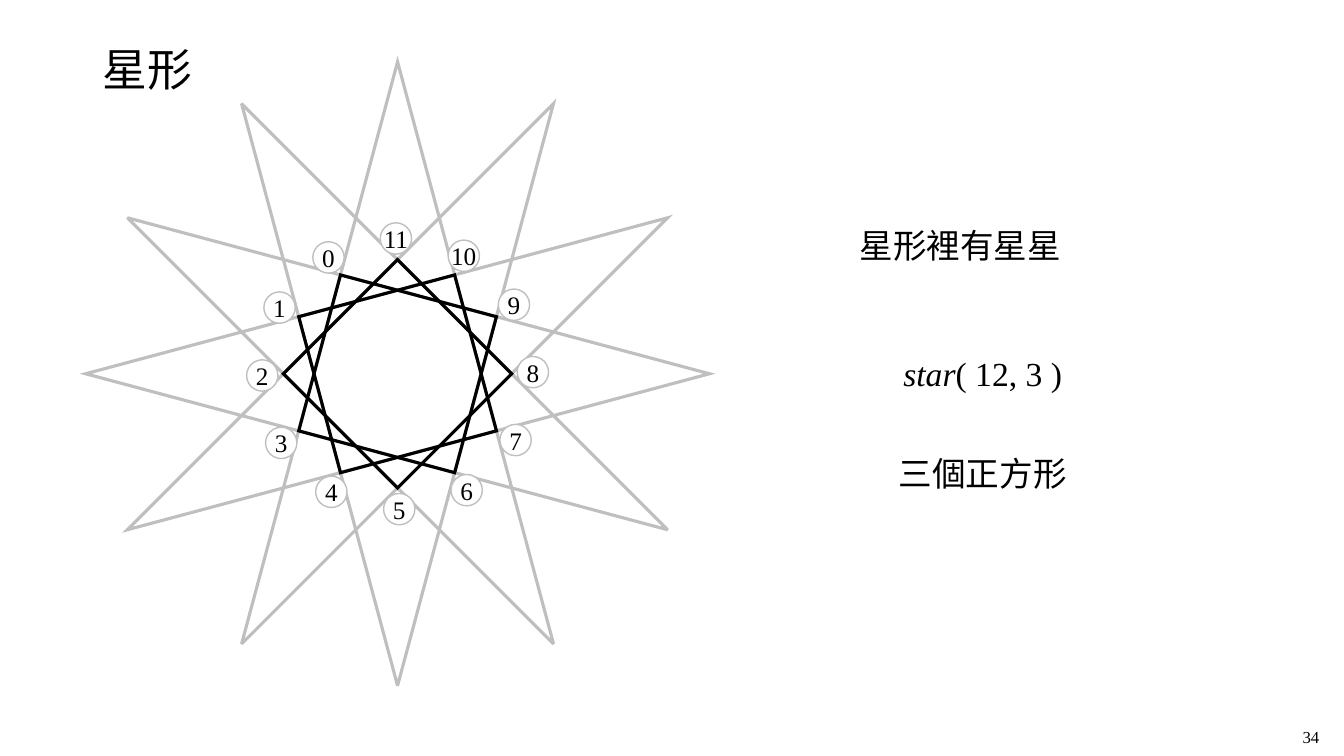
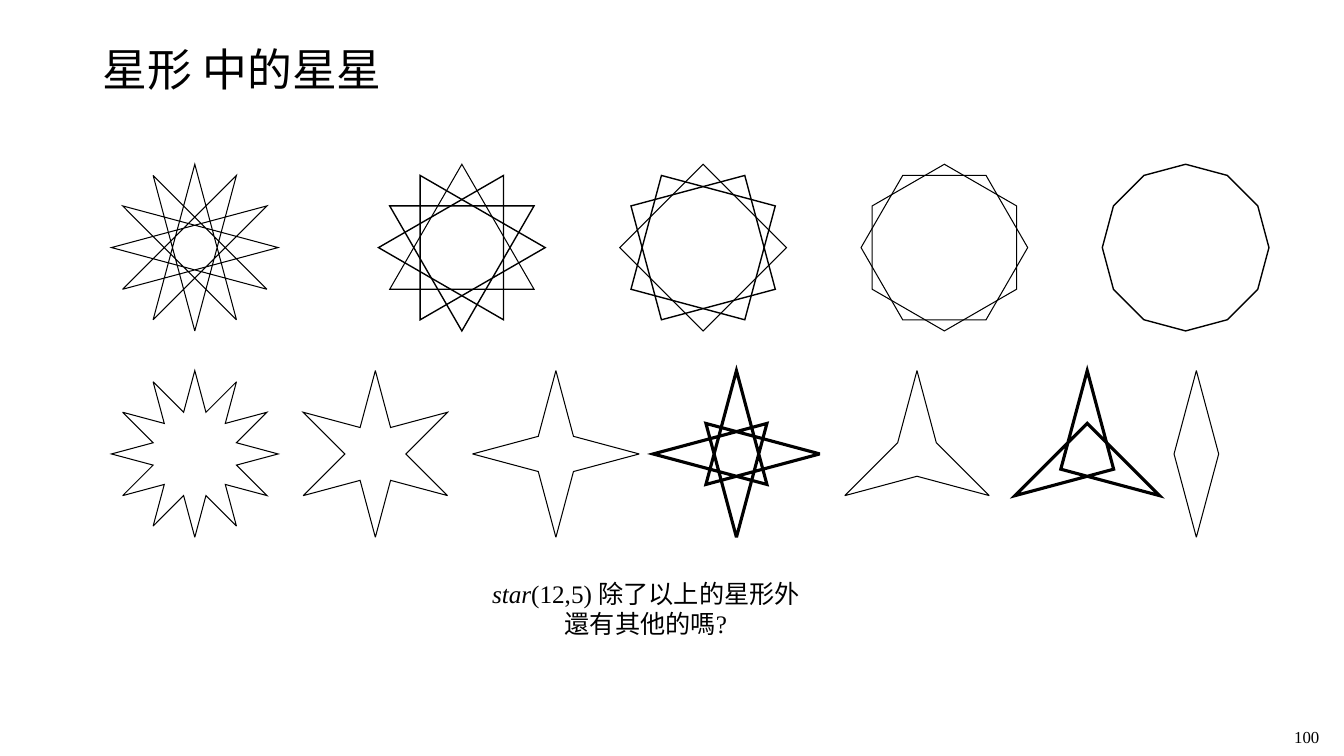
from dataclasses import dataclass
from math import cos, gcd, radians, sin
from typing import Optional

from lxml.etree import SubElement
from pptx import Presentation
from pptx.dml.color import RGBColor
from pptx.enum.shapes import MSO_SHAPE
from pptx.enum.text import MSO_ANCHOR, PP_ALIGN
from pptx.oxml.ns import qn
from pptx.slide import Slide
from pptx.util import Cm, Pt

BLACK, WHITE, GRAY = "000000", "FFFFFF", "BFBFBF"
SERIF, SANS = "Times New Roman", "Noto Sans CJK SC"
TIPS = 12
CHORD = 75
Point = tuple[float, float]


@dataclass
class Label:
    text: str
    left: float
    top: float
    width: float
    height: float
    size: float = 24
    italic: str = ""
    font: str = SERIF
    align: PP_ALIGN = PP_ALIGN.CENTER
    anchor: MSO_ANCHOR = MSO_ANCHOR.MIDDLE
    shape: Optional[MSO_SHAPE] = MSO_SHAPE.RECTANGLE
    outline: Optional[str] = None
    spacing: Optional[float] = None


@dataclass
class Star:
    cx: float
    cy: float
    radius: float
    step: int
    widths: tuple[float, ...]
    color: str = BLACK


@dataclass
class Zigzag:
    cx: float
    tips: int
    turn: float
    width: float = 0.75


def rgb(value: str) -> RGBColor:
    return RGBColor.from_string(value)


def polar(cx: float, cy: float, radius: float, angle: float) -> Point:
    a = radians(angle)
    return cx + radius * sin(a), cy - radius * cos(a)


def chord_radius(radius: float, angle: float) -> float:
    """Distance from the centre to a star(12, 5) edge in the direction of angle."""
    return radius * cos(radians(CHORD)) / cos(radians(CHORD - angle))


def add_label(slide: Slide, label: Label) -> None:
    box = [Cm(v) for v in (label.left, label.top, label.width, label.height)]
    if label.shape is None:
        sp = slide.shapes.add_textbox(*box)
    else:
        sp = slide.shapes.add_shape(label.shape, *box)
        sp.shadow.inherit = False
        sp.fill.solid()
        sp.fill.fore_color.rgb = rgb(WHITE)
        if label.outline:
            sp.line.color.rgb = rgb(label.outline)
            sp.line.width = Pt(1)
        else:
            sp.line.fill.background()
    tf = sp.text_frame
    tf.word_wrap = label.outline is None
    if label.outline:
        tf.margin_left = tf.margin_right = tf.margin_top = tf.margin_bottom = 0
    tf.vertical_anchor = label.anchor
    p = tf.paragraphs[0]
    p.alignment = label.align
    if label.spacing:
        p.line_spacing = label.spacing
    p.text = label.italic
    for i, line in enumerate(label.text.split("\n")):
        if i:
            p.add_line_break()
        p.add_run().text = line
    for i, r in enumerate(p.runs):
        r.font.name = label.font
        r.font.size = Pt(label.size)
        r.font.italic = bool(label.italic) and i == 0
        r.font.color.rgb = rgb(BLACK)
        SubElement(r.font._element, qn("a:ea"), typeface=SANS)


def add_polygon(slide: Slide, points: list[Point], width: float, color: str) -> None:
    vertices = [(Cm(x), Cm(y)) for x, y in points]
    builder = slide.shapes.build_freeform(*vertices[0])
    builder.add_line_segments(vertices[1:], close=True)
    sp = builder.convert_to_shape()
    sp.shadow.inherit = False
    sp.fill.background()
    sp.line.color.rgb = rgb(color)
    sp.line.width = Pt(width)
    ln = sp.element.spPr.find(qn("a:ln"))
    SubElement(ln, qn("a:miter"), lim="800000")


def add_star(slide: Slide, star: Star) -> None:
    parts = gcd(TIPS, star.step)
    for part, width in zip(range(parts), star.widths):
        points = [
            polar(star.cx, star.cy, star.radius, 360 / TIPS * (part + i * star.step))
            for i in range(TIPS // parts)
        ]
        add_polygon(slide, points, width, star.color)


def add_zigzag(slide: Slide, zigzag: Zigzag, cy: float, radius: float) -> None:
    inner = chord_radius(radius, zigzag.turn)
    points = [
        polar(zigzag.cx, cy, inner if i % 2 else radius, i * zigzag.turn)
        for i in range(2 * zigzag.tips)
    ]
    add_polygon(slide, points, zigzag.width, BLACK)


def new_slide(prs: Presentation, title: str, number: str) -> Slide:
    slide = prs.slides.add_slide(prs.slide_layouts[6])
    add_label(slide, Label(title, 2.34, 1.02, 29.21, 1.57, 32, font=SANS,
                           align=PP_ALIGN.LEFT, shape=None, spacing=0.9))
    add_label(slide, Label(number, 31.5, 18.19, 2, 0.76, 12,
                           align=PP_ALIGN.RIGHT, anchor=MSO_ANCHOR.TOP, shape=None))
    return slide


def squares_slide(prs: Presentation) -> None:
    slide = new_slide(prs, "星形", "34")
    cx, cy, radius = 10.02, 9.42, 7.86
    add_star(slide, Star(cx, cy, radius, 5, (2.25,), GRAY))
    add_star(slide, Star(cx, cy, chord_radius(radius, 30), 3, (2.25,) * 3))
    ring, tilt, size = 3.41, 0.7, 0.79
    for i in range(TIPS):
        x, y = polar(cx, cy, ring, -360 / TIPS * (i + 1) - tilt)
        add_label(slide, Label(str(i), x - size / 2, y - size / 2, size, size, 18,
                               shape=MSO_SHAPE.OVAL, outline=GRAY))
    add_label(slide, Label("星形裡有星星", 21.41, 5.54, 5.84, 1.27,
                           align=PP_ALIGN.LEFT, anchor=MSO_ANCHOR.TOP, shape=None))
    add_label(slide, Label("( 12, 3 )", 21.08, 8.15, 7.37, 2.51, italic="star"))
    add_label(slide, Label("三個正方形", 21.08, 10.66, 7.37, 2.51))


def stars_slide(prs: Presentation) -> None:
    slide = new_slide(prs, "星形 中的星星", "100")
    radius, left, star_y, zigzag_y = 2.1, 4.91, 6.24, 11.44
    add_star(slide, Star(left, star_y, radius, 5, (0.75,)))
    row = ((0.75, 1, 1, 1), (0.75, 1, 1), (0.75, 0.75), (1,))
    for i, widths in enumerate(row):
        add_star(slide, Star(11.64 + 6.08 * i, star_y, radius, 4 - i, widths))
    gap = 4.55
    zigzags = [
        Zigzag(left, 12, 15),
        Zigzag(left + gap, 6, 30),
        Zigzag(left + 2 * gap, 4, 45),
        Zigzag(left + 3 * gap, 4, 135, 2.25),
        Zigzag(left + 4 * gap, 3, 60),
        Zigzag(27.4, 3, 120, 2.25),
        Zigzag(30.15, 2, 90),
    ]
    for zigzag in zigzags:
        add_zigzag(slide, zigzag, zigzag_y, radius)
    add_label(slide, Label("(12,5) 除了以上的星形外\n還有其他的嗎?",
                           11.25, 14.53, 10.06, 1.6, 18, italic="star"))


def main() -> None:
    prs = Presentation()
    prs.slide_width, prs.slide_height = Cm(33.87), Cm(19.05)
    squares_slide(prs)
    stars_slide(prs)
    prs.save("out.pptx")


if __name__ == "__main__":
    main()
